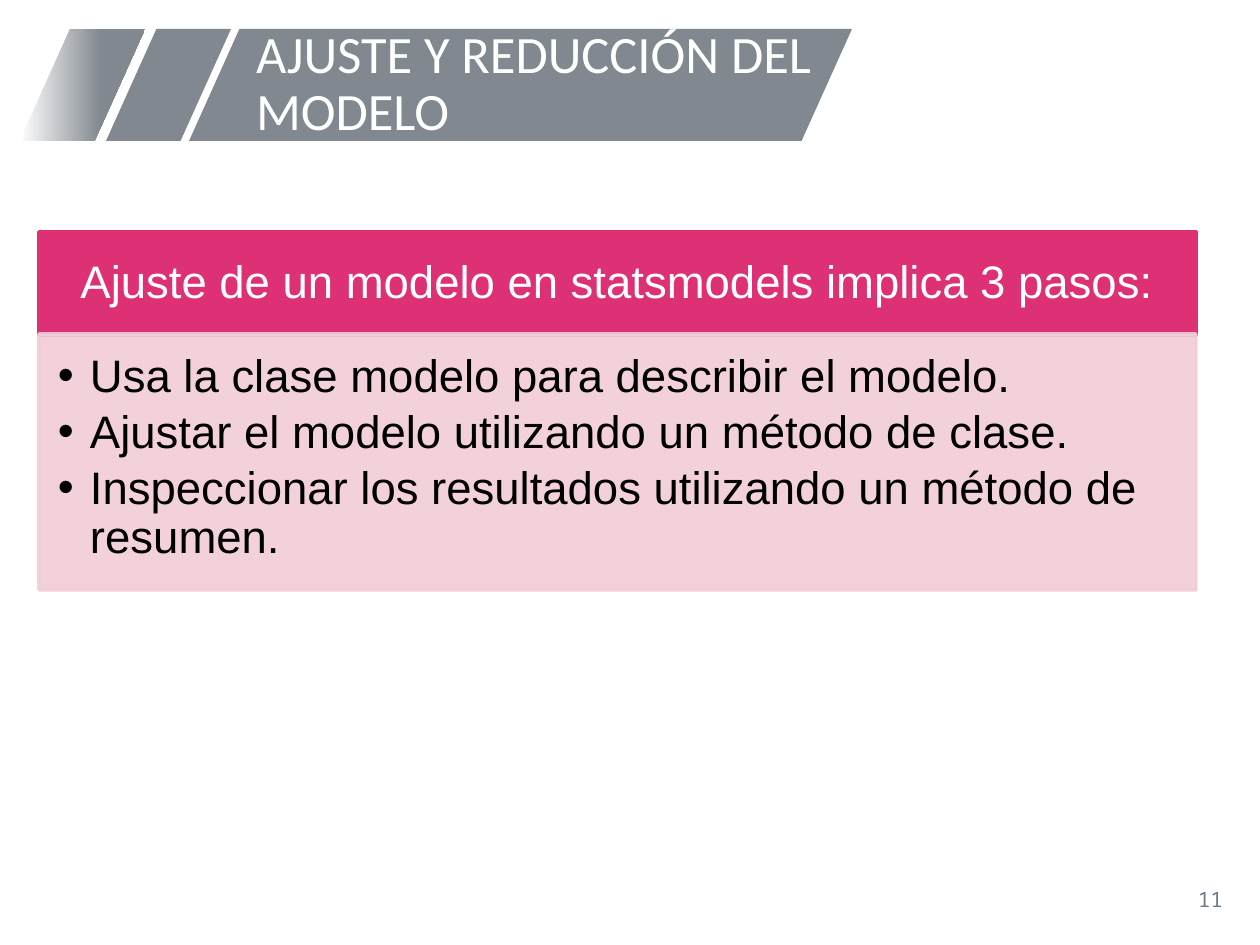
import pptx
import pptx.util
import pptx.dml.color
import pptx.enum.shapes
import pptx.enum.text
import pptx.oxml.ns
from lxml import etree

WHITE = pptx.dml.color.RGBColor(0xFF, 0xFF, 0xFF)
BLACK = pptx.dml.color.RGBColor(0x00, 0x00, 0x00)
GREY = pptx.dml.color.RGBColor(0x81, 0x88, 0x8F)
SLATE = pptx.dml.color.RGBColor(0x6C, 0x7A, 0x8A)
PINK = pptx.dml.color.RGBColor(0xDE, 0x30, 0x75)
PALE = pptx.dml.color.RGBColor(0xF2, 0xCD, 0xD6)
PX = 914400 / 126
STEPS = [
    "Usa la clase modelo para describir el modelo.",
    "Ajustar el modelo utilizando un método de clase.",
    "Inspeccionar los resultados utilizando un método de resumen.",
]


def px(*lengths):
    return [pptx.util.Emu(round(length * PX)) for length in lengths]


def set_text(shape, lines, margins, anchor, align, font, size, color):
    frame = shape.text_frame
    frame.word_wrap = True
    frame.auto_size = pptx.enum.text.MSO_AUTO_SIZE.NONE
    frame.vertical_anchor = anchor
    frame.margin_left, frame.margin_top, frame.margin_right, frame.margin_bottom = px(*margins)
    frame.text = "\n".join(lines)
    for para in frame.paragraphs:
        para.alignment = align
        para.line_spacing = 0.9
        para.space_before = pptx.util.Pt(0)
        para.space_after = pptx.util.Pt(4 if len(lines) > 1 else 0)
        if len(lines) > 1:
            props = para._p.get_or_add_pPr()
            props.set("marL", str(px(32)[0]))
            props.set("indent", str(px(-32)[0]))
            bullet_color = etree.SubElement(props, pptx.oxml.ns.qn("a:buClr"))
            etree.SubElement(bullet_color, pptx.oxml.ns.qn("a:srgbClr"), val=str(color))
            etree.SubElement(props, pptx.oxml.ns.qn("a:buChar"), char="•")
        para.font.name = font
        para.font.size = pptx.util.Pt(size)
        para.font.color.rgb = color


deck = pptx.Presentation()
deck.slide_width, deck.slide_height = px(1260, 945)
page = deck.slides.add_slide(deck.slide_layouts[1])
title, steps = page.placeholders
MIDDLE = pptx.enum.text.MSO_ANCHOR.MIDDLE
TOP = pptx.enum.text.MSO_ANCHOR.TOP
LEFT = pptx.enum.text.PP_ALIGN.LEFT
CENTER = pptx.enum.text.PP_ALIGN.CENTER
RIGHT = pptx.enum.text.PP_ALIGN.RIGHT

for left, width in [(189, 663), (106, 125), (20, 125)]:
    band = page.shapes.add_shape(pptx.enum.shapes.MSO_SHAPE.PARALLELOGRAM, *px(left, 29, width, 112))
    band.adjustments[0] = 0.45
    band.shadow.inherit = False
    band.line.fill.background()
    band.fill.solid()
    band.fill.fore_color.rgb = GREY

band.fill.gradient()
band.fill.gradient_angle = 0
for stop, position, color in zip(band.fill.gradient_stops, (0, 0.65), (WHITE, GREY)):
    stop.position = position
    stop.color.rgb = color

number = page.shapes.add_textbox(*px(953, 876, 283, 50))
set_text(number, ["11"], (13, 6, 13, 6), MIDDLE, RIGHT, "Noto Sans Mono", 12, SLATE)

title.left, title.top, title.width, title.height = px(243, 29, 591, 112)
set_text(title, ["AJUSTE Y REDUCCIÓN DEL MODELO"], (13, 6, 13, 6), MIDDLE, LEFT, "Calibri", 30, WHITE)

header = page.shapes.add_shape(pptx.enum.shapes.MSO_SHAPE.RECTANGLE, *px(39, 232, 1157, 103))
header.shadow.inherit = False
set_text(header, ["Ajuste de un modelo en statsmodels implica 3 pasos:"], (25, 15, 25, 15),
         MIDDLE, CENTER, "Arial", 26, WHITE)

steps.left, steps.top, steps.width, steps.height = px(39, 334, 1157, 256)
set_text(steps, STEPS, (19, 19, 25, 29), TOP, LEFT, "Arial", 26, BLACK)

for panel, color in [(header, PINK), (steps, PALE)]:
    panel.fill.solid()
    panel.fill.fore_color.rgb = color
    panel.line.color.rgb = color
    panel.line.width = pptx.util.Pt(2)

for tint in steps.element.spPr.iter(pptx.oxml.ns.qn("a:srgbClr")):
    etree.SubElement(tint, pptx.oxml.ns.qn("a:alpha"), val="90000")

for placeholder in (title, steps):
    placeholder.element.getparent().append(placeholder.element)

deck.save("out.pptx")
